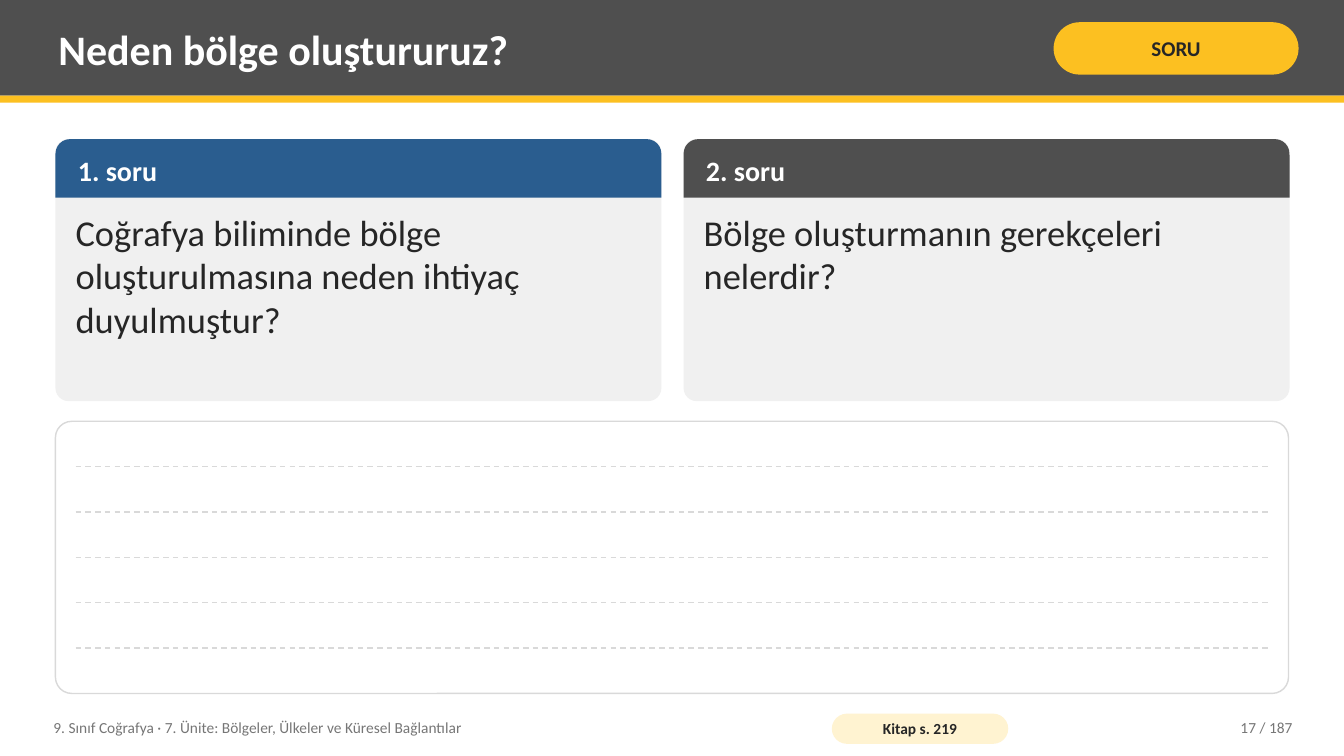
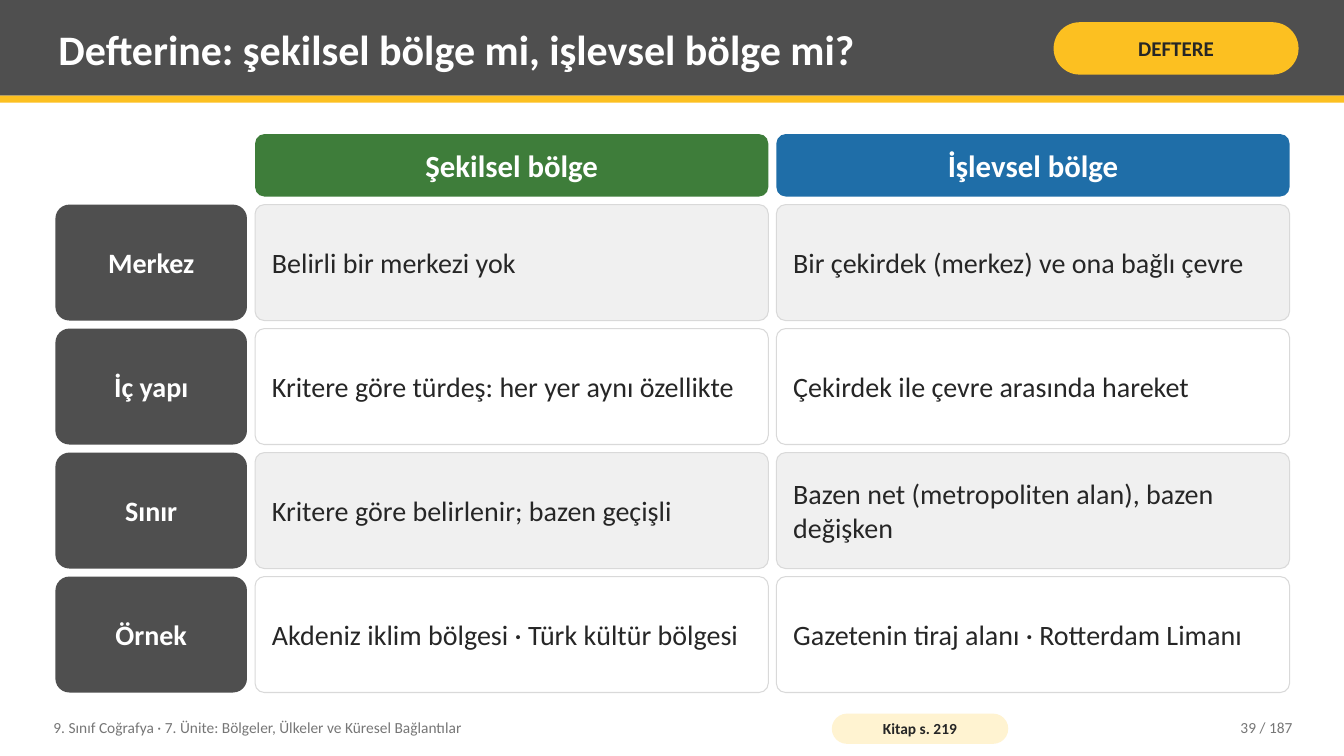
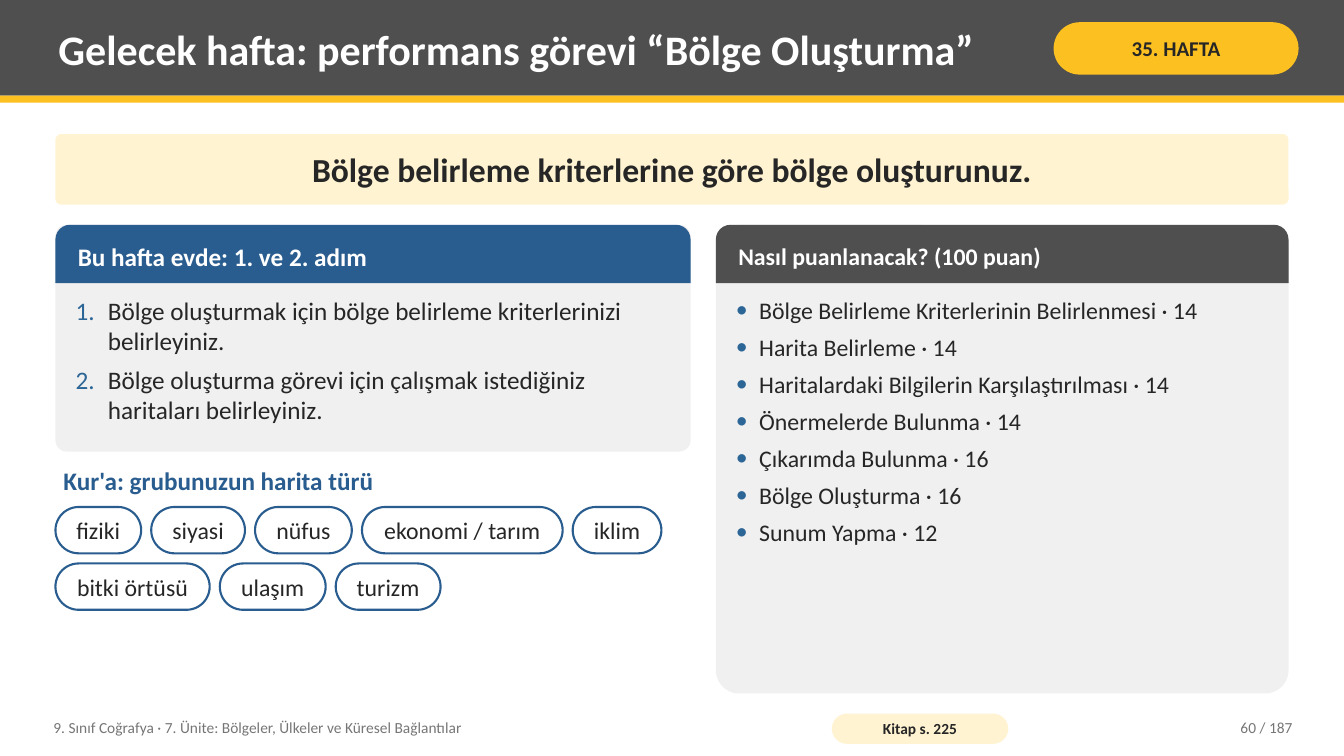
import pptx
import pptx.dml.color
import pptx.enum.dml
import pptx.enum.shapes
import pptx.enum.text
import pptx.oxml
import pptx.oxml.ns
import pptx.util
from lxml import etree

RGBColor = pptx.dml.color.RGBColor
SHAPE = pptx.enum.shapes.MSO_SHAPE
ANCHOR = pptx.enum.text.MSO_ANCHOR
ALIGN = pptx.enum.text.PP_ALIGN

CHARCOAL = RGBColor(0x4F, 0x4F, 0x4F)
YELLOW = RGBColor(0xFC, 0xC0, 0x21)
CREAM = RGBColor(0xFF, 0xF3, 0xD1)
WHITE = RGBColor(0xFF, 0xFF, 0xFF)
INK = RGBColor(0x26, 0x26, 0x26)
PALE = RGBColor(0xF0, 0xF0, 0xF0)
RULE = RGBColor(0xD9, 0xD9, 0xD9)
MUTED = RGBColor(0x76, 0x76, 0x76)
NAVY = RGBColor(0x2A, 0x5D, 0x8F)
MARKER = RGBColor(0x2C, 0x66, 0x96)
GREEN = RGBColor(0x3E, 0x7D, 0x3A)
BLUE = RGBColor(0x1F, 0x6E, 0xA8)

EMU_PER_PX = 9144  # 100 px to the inch
FONT = "Calibri"
LEFT, WIDTH, BOTTOM = 55, 1223, 688
HEADING_HEIGHT = 58
FOOTER = "9. Sınıf Coğrafya · 7. Ünite: Bölgeler, Ülkeler ve Küresel Bağlantılar"
PAGE_TOTAL = 187

NUMBERED = {"tag": "a:buAutoNum", "type": "arabicPeriod", "indent": 32}
DOTTED = {"tag": "a:buChar", "char": "•", "indent": 23}


def px(length):
    return pptx.util.Emu(length * EMU_PER_PX)


def add_bullet(para, tag, indent, **marker):
    """Give a paragraph a coloured marker with a hanging indent in px."""
    properties = para._p.get_or_add_pPr()
    properties.set("marL", str(px(indent)))
    properties.set("indent", str(-px(indent)))
    qn = pptx.oxml.ns.qn
    color = etree.SubElement(properties, qn("a:buClr"))
    etree.SubElement(color, qn("a:srgbClr"), val=str(MARKER))
    etree.SubElement(properties, qn("a:buFont"), typeface=FONT)
    etree.SubElement(properties, qn(tag), **marker)


def write(shape, lines, size, color=INK, bold=False, align=ALIGN.LEFT,
          anchor=ANCHOR.MIDDLE, inset=(8, 4), bullet=None):
    """Fill a shape with one paragraph per line; inset is (sides, top and bottom)."""
    frame = shape.text_frame
    side, end = map(px, inset)
    frame_format = {"word_wrap": True, "vertical_anchor": anchor,
                    "margin_left": side, "margin_right": side,
                    "margin_top": end, "margin_bottom": end}
    for name, value in frame_format.items():
        setattr(frame, name, value)
    font_format = {"name": FONT, "size": pptx.util.Pt(size), "bold": bold}
    for index, line in enumerate(lines):
        para = frame.add_paragraph() if index else frame.paragraphs[0]
        para.alignment = align
        if bullet:
            add_bullet(para, **bullet)
            if index < len(lines) - 1:
                para.space_after = pptx.util.Pt(6)
        span = para.add_run()
        span.text = line
        for name, value in font_format.items():
            setattr(span.font, name, value)
        span.font.color.rgb = color


def add_text(slide, box, lines, size, **style):
    write(slide.shapes.add_textbox(*map(px, box)), lines, size, **style)


def add_block(slide, box, fill, kind=SHAPE.RECTANGLE, corners=(), line=None, weight=1):
    block = slide.shapes.add_shape(kind, *map(px, box))
    block.shadow.inherit = False
    block.fill.solid()
    block.fill.fore_color.rgb = fill
    for index, corner in enumerate(corners):
        block.adjustments[index] = corner
    if line is None:
        block.line.fill.background()
    else:
        block.line.color.rgb = line
        block.line.width = pptx.util.Pt(weight)
    return block


def add_rounded(slide, box, fill, corner, **outline):
    return add_block(slide, box, fill, SHAPE.ROUNDED_RECTANGLE, (corner,), **outline)


def add_dashed_rule(slide, left, right, y):
    rule = slide.shapes.add_connector(
        pptx.enum.shapes.MSO_CONNECTOR.STRAIGHT, *map(px, (left, y, right, y)))
    rule.line.color.rgb = RULE
    rule.line.width = pptx.util.Pt(1)
    rule.line.dash_style = pptx.enum.dml.MSO_LINE.DASH
    etree.SubElement(rule._element.spPr, pptx.oxml.ns.qn("a:effectLst"))


def add_panel(slide, box, color, heading, heading_size, lines, size, bullet=None):
    """Draw a pale card with a coloured heading strip and body text."""
    left, top, width, height = box
    add_rounded(slide, box, PALE, 0.05)
    strip = add_block(slide, (left, top, width, HEADING_HEIGHT), color,
                      SHAPE.ROUND_2_SAME_RECTANGLE, (0.25, 0))
    write(strip, [heading], heading_size, color=WHITE, bold=True, inset=(18, 4))
    body = (left + 12, top + HEADING_HEIGHT + 8, width - 24, height - HEADING_HEIGHT - 16)
    add_text(slide, body, lines, size, anchor=ANCHOR.TOP, bullet=bullet)


def add_page(deck, title, tag, book_page, number):
    """Add a slide with the shared title band, tag and footer."""
    page = deck.slides.add_slide(deck.slide_layouts[6])
    add_block(page, (0, 0, 1333, 95), CHARCOAL)
    add_block(page, (0, 95, 1333, 7), YELLOW)
    add_text(page, (50, 7, 975, 82), [title], 30, color=WHITE, bold=True)
    write(add_rounded(page, (1045, 22, 243, 52), YELLOW, 0.5), [tag], 15,
          bold=True, align=ALIGN.CENTER, inset=(5, 2))
    add_text(page, (45, 704, 760, 36), [FOOTER], 11, color=MUTED)
    write(add_rounded(page, (825, 708, 175, 30), CREAM, 0.5), [f"Kitap s. {book_page}"], 11,
          bold=True, align=ALIGN.CENTER, inset=(4, 0))
    add_text(page, (1130, 704, 160, 36), [f"{number} / {PAGE_TOTAL}"], 11,
             color=MUTED, align=ALIGN.RIGHT)
    return page


def build_questions(deck):
    page = add_page(deck, "Neden bölge oluştururuz?", "SORU", 219, 17)
    questions = [
        (NAVY, "Coğrafya biliminde bölge oluşturulmasına neden ihtiyaç duyulmuştur?"),
        (CHARCOAL, "Bölge oluşturmanın gerekçeleri nelerdir?"),
    ]
    width, gap = 601, 22
    for index, (color, question) in enumerate(questions):
        box = (LEFT + index * (width + gap), 138, width, 260)
        add_panel(page, box, color, f"{index + 1}. soru", 20, [question], 26)

    top, spacing, rules = 418, 45, 5
    add_rounded(page, (LEFT, top, WIDTH, BOTTOM - top), WHITE, 0.06, line=RULE)
    for index in range(1, rules + 1):
        add_dashed_rule(page, LEFT + 20, LEFT + WIDTH - 20, top + index * spacing)


def build_comparison(deck):
    page = add_page(deck, "Defterine: şekilsel bölge mi, işlevsel bölge mi?", "DEFTERE", 219, 39)
    headings = [("Şekilsel bölge", GREEN), ("İşlevsel bölge", BLUE)]
    rows = [
        ("Merkez", "Belirli bir merkezi yok", "Bir çekirdek (merkez) ve ona bağlı çevre"),
        ("İç yapı", "Kritere göre türdeş: her yer aynı özellikte",
         "Çekirdek ile çevre arasında hareket"),
        ("Sınır", "Kritere göre belirlenir; bazen geçişli",
         "Bazen net (metropoliten alan), bazen değişken"),
        ("Örnek", "Akdeniz iklim bölgesi · Türk kültür bölgesi",
         "Gazetenin tiraj alanı · Rotterdam Limanı"),
    ]
    gap, label_width, cell_width = 8, 190, 509
    top, heading_height, row_height = 133, 62, 115
    lefts = [LEFT + label_width + gap + index * (cell_width + gap) for index in range(2)]
    inset = (14, 8)
    label_style = {"color": WHITE, "bold": True, "align": ALIGN.CENTER, "inset": inset}

    for left, (heading, color) in zip(lefts, headings):
        cell = add_rounded(page, (left, top, cell_width, heading_height), color, 0.15)
        write(cell, [heading], 22, **label_style)
    for index, (label, *answers) in enumerate(rows):
        y = top + heading_height + gap + index * (row_height + gap)
        cell = add_rounded(page, (LEFT, y, label_width, row_height), CHARCOAL, 0.12)
        write(cell, [label], 20, **label_style)
        fill = WHITE if index % 2 else PALE
        for left, answer in zip(lefts, answers):
            cell = add_rounded(page, (left, y, cell_width, row_height), fill, 0.08,
                               line=RULE, weight=0.75)
            write(cell, [answer], 20, inset=inset)


def add_chips(slide, rows, top):
    """Set rows of (label, width) pills side by side."""
    height, gap = 46, 10
    for index, row in enumerate(rows):
        left = LEFT
        for label, width in row:
            chip = add_rounded(slide, (left, top + index * (height + gap), width, height),
                               WHITE, 0.5, line=NAVY, weight=1.5)
            write(chip, [label], 17, align=ALIGN.CENTER, inset=(6, 0))
            left += width + gap


def build_task(deck):
    page = add_page(deck, "Gelecek hafta: performans görevi “Bölge Oluşturma”",
                    "35. HAFTA", 225, 60)
    write(add_rounded(page, (LEFT, 133, WIDTH, 70), CREAM, 0.08),
          ["Bölge belirleme kriterlerine göre bölge oluşturunuz."], 24,
          bold=True, align=ALIGN.CENTER, inset=(14, 8))

    steps = [
        "Bölge oluşturmak için bölge belirleme kriterlerinizi belirleyiniz.",
        "Bölge oluşturma görevi için çalışmak istediğiniz haritaları belirleyiniz.",
    ]
    scores = [
        ("Bölge Belirleme Kriterlerinin Belirlenmesi", 14),
        ("Harita Belirleme", 14),
        ("Haritalardaki Bilgilerin Karşılaştırılması", 14),
        ("Önermelerde Bulunma", 14),
        ("Çıkarımda Bulunma", 16),
        ("Bölge Oluşturma", 16),
        ("Sunum Yapma", 12),
    ]
    top, steps_width = 223, 630
    add_panel(page, (LEFT, top, steps_width, 225), NAVY,
              "Bu hafta evde: 1. ve 2. adım", 18, steps, 18, NUMBERED)
    add_panel(page, (710, top, 568, BOTTOM - top), CHARCOAL,
              "Nasıl puanlanacak? (100 puan)", 17,
              [f"{skill} · {points}" for skill, points in scores], 17, DOTTED)

    add_text(page, (LEFT, 458, steps_width, 42), ["Kur'a: grubunuzun harita türü"], 18,
             color=NAVY, bold=True, anchor=ANCHOR.TOP)
    add_chips(page, [
        [("fiziki", 85), ("siyasi", 93), ("nüfus", 96), ("ekonomi / tarım", 199), ("iklim", 88)],
        [("bitki örtüsü", 153), ("ulaşım", 105), ("turizm", 104)],
    ], 503)


def main():
    deck = pptx.Presentation()
    deck.slide_width, deck.slide_height = px(1333), px(750)
    build_questions(deck)
    build_comparison(deck)
    build_task(deck)
    deck.save("out.pptx")


if __name__ == "__main__":
    main()
